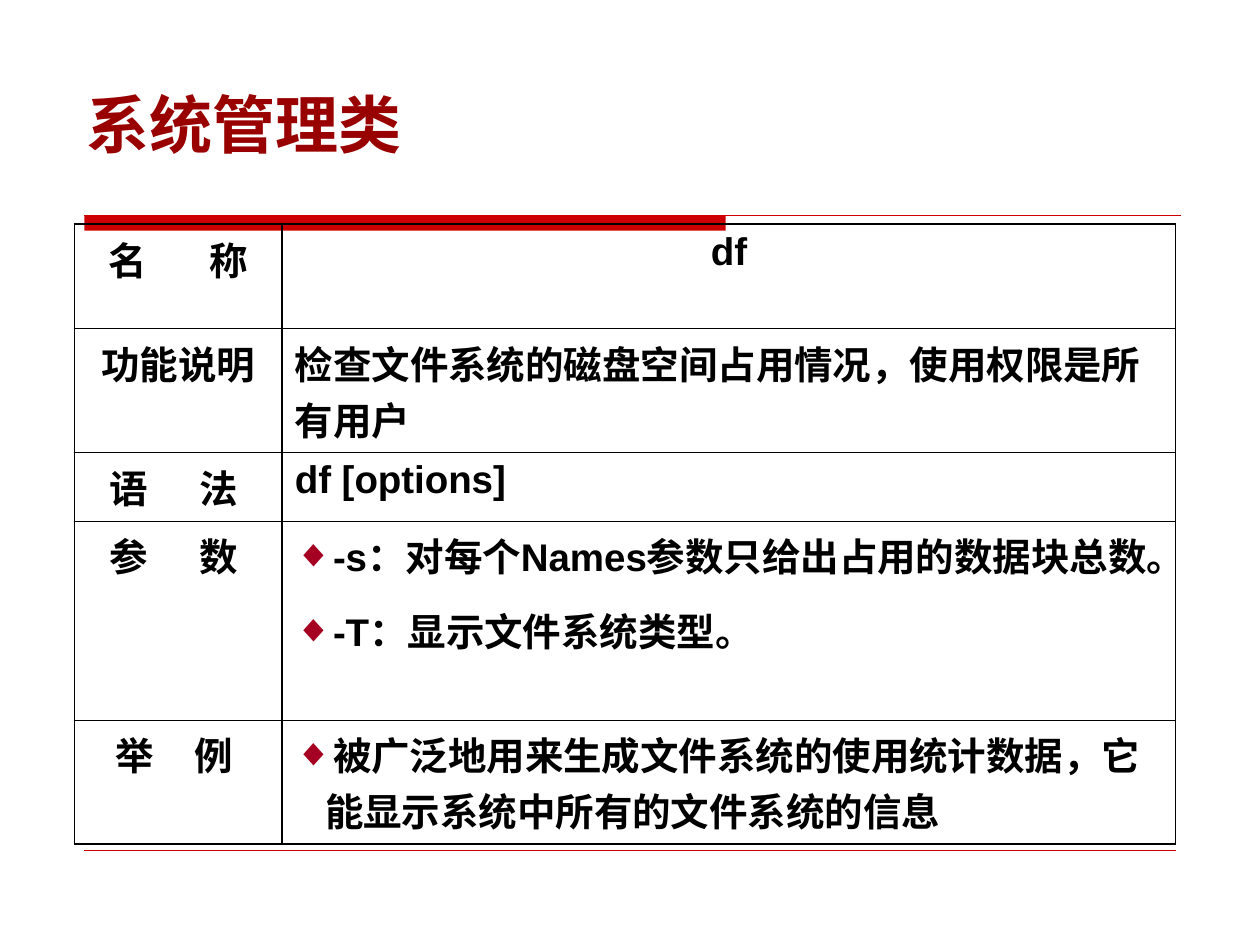
from dataclasses import dataclass

from lxml import etree
from pptx import Presentation
from pptx.dml.color import RGBColor
from pptx.enum.shapes import MSO_CONNECTOR, MSO_SHAPE
from pptx.enum.text import MSO_ANCHOR, PP_ALIGN
from pptx.oxml.ns import qn
from pptx.util import Inches, Pt

STRAIGHT = MSO_CONNECTOR.STRAIGHT
RECTANGLE = MSO_SHAPE.RECTANGLE
BOTTOM = MSO_ANCHOR.BOTTOM
LEFT, CENTER = PP_ALIGN.LEFT, PP_ALIGN.CENTER
TITLE_ONLY = 5


@dataclass(frozen=True)
class Theme:
    accent: str = "CC0000"
    title: str = "990000"
    text: str = "000000"
    bullet: str = "A50021"
    title_size: float = 36
    body_size: float = 22
    paragraph_gap: float = 5.5
    space_width: float = 6.11
    outer_border: float = 1.08
    inner_border: float = 0.45
    latin: str = "Arial"
    chinese: str = "Noto Sans CJK SC"


THEME = Theme()
COLUMN_WIDTHS = (1.65, 7.09)
COMMAND_ROWS = (
    (0.83, ("名", "称"), 6, ("df",), CENTER, False),
    (0.83, ("功能说明",), 0,
     ("检查文件系统的磁盘空间占用情况，使用权限是所有用户",), LEFT, False),
    (0.47, ("语", "法 "), 5, ("df [options]",), LEFT, False),
    (1.35, ("参", "数 "), 5,
     ("-s：对每个Names参数只给出占用的数据块总数。", "-T：显示文件系统类型。"),
     LEFT, True),
    (0.83, ("举", "例 "), 4,
     ("被广泛地用来生成文件系统的使用统计数据，它能显示系统中所有的文件系统的信息",),
     LEFT, True),
)


def add_run(paragraph, text, size, color, latin):
    run = paragraph.add_run()
    run.text = text
    run.font.size = Pt(size)
    run.font.bold = True
    run.font.name = latin
    run.font.color.rgb = RGBColor.from_string(color)
    east_asian = etree.SubElement(run.font._element, qn("a:ea"))
    east_asian.set("typeface", THEME.chinese)
    return run


def add_body_run(paragraph, text):
    return add_run(paragraph, text, THEME.body_size, THEME.text, THEME.latin)


def add_rule(slide, start, end, y, width):
    rule = slide.shapes.add_connector(
        STRAIGHT, Inches(start), Inches(y), Inches(end), Inches(y))
    rule.line.color.rgb = RGBColor.from_string(THEME.accent)
    rule.line.width = Pt(width)
    etree.SubElement(rule._element.spPr, qn("a:effectLst"))


def add_accent_bar(slide):
    bar = slide.shapes.add_shape(
        RECTANGLE, Inches(0.67), Inches(1.71), Inches(5.09), Inches(0.12))
    bar.shadow.inherit = False
    bar.fill.solid()
    bar.fill.fore_color.rgb = RGBColor.from_string(THEME.accent)
    bar.line.fill.background()


def set_title(slide, text):
    title = slide.shapes.title
    title.left, title.top = Inches(0.59), Inches(0)
    title.width, title.height = Inches(8.75), Inches(1.33)
    title.text_frame.vertical_anchor = BOTTOM
    paragraph = title.text_frame.paragraphs[0]
    paragraph.alignment = LEFT
    add_run(paragraph, text, THEME.title_size, THEME.title, THEME.chinese)


def set_bullet(paragraph):
    properties = paragraph._p.get_or_add_pPr()
    properties.set("marL", str(Inches(0.24)))
    properties.set("indent", str(-Inches(0.24)))
    color = etree.SubElement(properties, qn("a:buClr"))
    etree.SubElement(color, qn("a:srgbClr")).set("val", THEME.bullet)
    etree.SubElement(properties, qn("a:buFont")).set("typeface", THEME.latin)
    etree.SubElement(properties, qn("a:buChar")).set("char", "◆")


def set_borders(cell, top, bottom):
    properties = cell._tc.get_or_add_tcPr()
    outer = THEME.outer_border
    sides = (("a:lnL", outer), ("a:lnR", outer), ("a:lnT", top), ("a:lnB", bottom))
    for position, (side, width) in enumerate(sides):
        border = etree.Element(qn(side), w=str(Pt(width)))
        fill = etree.SubElement(border, qn("a:solidFill"))
        etree.SubElement(fill, qn("a:srgbClr")).set("val", THEME.text)
        properties.insert(position, border)


def fill_label(cell, parts, gap_spaces):
    paragraph = cell.text_frame.paragraphs[0]
    paragraph.alignment = CENTER
    paragraph.space_after = Pt(THEME.paragraph_gap)
    add_body_run(paragraph, parts[0])
    for part in parts[1:]:
        gap = add_body_run(paragraph, " ")
        tracking = round((gap_spaces - 1) * THEME.space_width * 100)
        gap.font._element.set("spc", str(tracking))
        add_body_run(paragraph, part)


def fill_description(cell, lines, alignment, bulleted):
    frame = cell.text_frame
    for index, line in enumerate(lines):
        paragraph = frame.add_paragraph() if index else frame.paragraphs[0]
        paragraph.alignment = alignment
        if index:
            paragraph.space_before = Pt(THEME.paragraph_gap)
        paragraph.space_after = Pt(THEME.paragraph_gap)
        if bulleted:
            set_bullet(paragraph)
        add_body_run(paragraph, line)


def add_command_table(slide):
    total_height = sum(row[0] for row in COMMAND_ROWS)
    table = slide.shapes.add_table(
        len(COMMAND_ROWS), len(COLUMN_WIDTHS), Inches(0.59), Inches(1.78),
        Inches(sum(COLUMN_WIDTHS)), Inches(total_height)).table
    table.first_row = False
    table.horz_banding = False
    for column, width in zip(table.columns, COLUMN_WIDTHS):
        column.width = Inches(width)
    last = len(COMMAND_ROWS) - 1
    for index, (height, label, gap, lines, alignment, bulleted) in enumerate(COMMAND_ROWS):
        table.rows[index].height = Inches(height)
        label_cell, description_cell = table.rows[index].cells
        fill_label(label_cell, label, gap)
        fill_description(description_cell, lines, alignment, bulleted)
        top = THEME.inner_border if index else THEME.outer_border
        bottom = THEME.outer_border if index == last else THEME.inner_border
        for cell in (label_cell, description_cell):
            cell.fill.background()
            set_borders(cell, top, bottom)


def main():
    presentation = Presentation()
    presentation.slide_width = Inches(10)
    presentation.slide_height = Inches(7.5)
    slide = presentation.slides.add_slide(presentation.slide_layouts[TITLE_ONLY])
    add_accent_bar(slide)
    add_rule(slide, 0.67, 9.37, 1.71, 0.75)
    add_rule(slide, 0.67, 9.33, 6.75, 0.25)
    set_title(slide, "系统管理类")
    add_command_table(slide)
    presentation.save("out.pptx")


if __name__ == "__main__":
    main()
